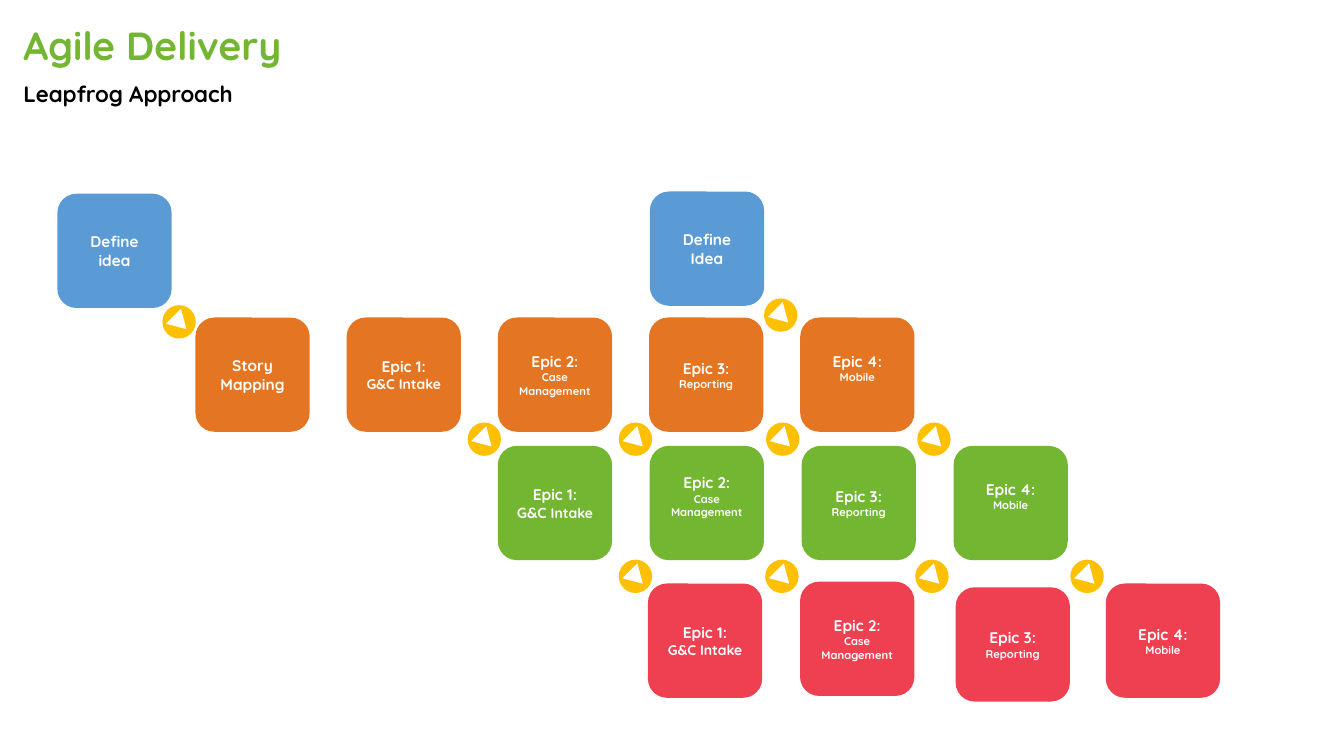
from lxml.etree import SubElement
from pptx import Presentation
from pptx.dml.color import RGBColor
from pptx.enum.shapes import MSO_SHAPE
from pptx.enum.text import MSO_ANCHOR, MSO_AUTO_SIZE, PP_ALIGN
from pptx.oxml.ns import qn
from pptx.util import Pt

FONT = "Quicksand"
WHITE, BLACK = "FFFFFF", "000000"
BLUE, ORANGE, GREEN, RED, YELLOW = "5B9BD5", "E47623", "73B632", "EF4051", "FFC000"
CARD_SIZE = 81.6
BADGE_SIZE = 23.8

INTAKE = [("G&C Intake", 10)]
WIDE_INTAKE = [("G&C ", 10.5), ("Intake", 10)]
CASES = [("Case Management", 8)]
REPORTING = [("Reporting", 8)]
MOBILE = [("Mobile", 8)]


def color(hex_string):
    return RGBColor.from_string(hex_string)


class DeliverySlide:
    def __init__(self, presentation):
        self.slide = presentation.slides.add_slide(presentation.slide_layouts[1])

    def style_run(self, run, size, hex_string):
        run.font.name = FONT
        run.font.size = Pt(size)
        run.font.bold = True
        run.font.color.rgb = color(hex_string)

    def heading(self, index, text, box, size, hex_string):
        """Place one of the layout's placeholders as a plain line of text."""
        holder = self.slide.placeholders[index]
        holder.left, holder.top, holder.width, holder.height = map(Pt, box)
        frame = holder.text_frame
        frame.text = text
        frame.word_wrap = True
        frame.auto_size = MSO_AUTO_SIZE.NONE
        frame.vertical_anchor = MSO_ANCHOR.BOTTOM
        line = frame.paragraphs[0]
        properties = line._p.get_or_add_pPr()
        properties.set("marL", "0")
        properties.set("indent", "0")
        SubElement(properties, qn("a:buNone"))
        line.alignment = PP_ALIGN.LEFT
        line.space_before = Pt(0)
        self.style_run(line.runs[0], size, hex_string)

    def shape(self, parent, kind, box, fill, rotation=0):
        shape = parent.add_shape(kind, *map(Pt, box))
        shape.shadow.inherit = False
        shape.fill.solid()
        shape.fill.fore_color.rgb = color(fill)
        shape.line.fill.background()
        shape.rotation = rotation
        return shape

    def card(self, left, top, fill, label, detail=(), raised=0):
        """Draw a step; raised is extra space below its text."""
        card = self.shape(self.slide.shapes, MSO_SHAPE.ROUNDED_RECTANGLE,
                          (left, top, CARD_SIZE, CARD_SIZE), fill)
        frame = card.text_frame
        frame.word_wrap = True
        frame.vertical_anchor = MSO_ANCHOR.MIDDLE
        frame.margin_bottom = Pt(3.6 + raised)
        frame.text = label
        self.style_run(frame.paragraphs[0].runs[0], 11, WHITE)
        if detail:
            line = frame.add_paragraph()
            for text, size in detail:
                run = line.add_run()
                run.text = text
                self.style_run(run, size, WHITE)
        for line in frame.paragraphs:
            line.alignment = PP_ALIGN.CENTER

    def badge(self, left, top):
        """Draw a yellow disc with an arrowhead pointing down to the right."""
        parts = self.slide.shapes.add_group_shape().shapes
        self.shape(parts, MSO_SHAPE.OVAL, (left, top, BADGE_SIZE, BADGE_SIZE), YELLOW, 45)
        self.shape(parts, MSO_SHAPE.ISOSCELES_TRIANGLE,
                   (left + 5, top + 6, 15.1, 13), WHITE, 135)


def main():
    presentation = Presentation()
    presentation.slide_width, presentation.slide_height = Pt(960), Pt(540)
    page = DeliverySlide(presentation)
    page.heading(0, "Agile Delivery", (9.4, 15.8, 595.4, 36.7), 28, GREEN)
    page.heading(1, "Leapfrog Approach", (9.4, 53.3, 884.9, 26.6), 16, BLACK)

    page.card(41, 138.4, BLUE, "Define idea")
    page.card(464.2, 136.8, BLUE, "Define Idea")

    first_release = [
        ("Story Mapping",),
        ("Epic 1:", INTAKE),
        ("Epic 2:", CASES),
        ("Epic 3:", REPORTING),
        ("Epic 4:", MOBILE, 10),
    ]
    for column, step in enumerate(first_release):
        page.card(139.6 + 108 * column, 226.8, ORANGE, *step)

    second_release = [
        ("Epic 1:", WIDE_INTAKE),
        ("Epic 2:", CASES, 10),
        ("Epic 3:", REPORTING),
        ("Epic 4:", MOBILE, 10),
    ]
    for column, step in enumerate(second_release):
        page.card(355.6 + 108.5 * column, 318.5, GREEN, *step)

    third_release = [
        (462.8, 416.8, "Epic 1:", INTAKE),
        (571.5, 415.5, "Epic 2:", CASES),
        (682.6, 419.5, "Epic 3:", REPORTING),
        (789.9, 416.8, "Epic 4:", MOBILE),
    ]
    for left, top, *step in third_release:
        page.card(left, top, RED, *step)

    handovers = {
        218: [116],
        213.2: [545.8],
        301.8: [334, 442, 547.2, 655.2],
        399.8: [442, 546.6, 653.8, 764.6],
    }
    for top, lefts in handovers.items():
        for left in lefts:
            page.badge(left, top)

    presentation.save("out.pptx")


if __name__ == "__main__":
    main()
